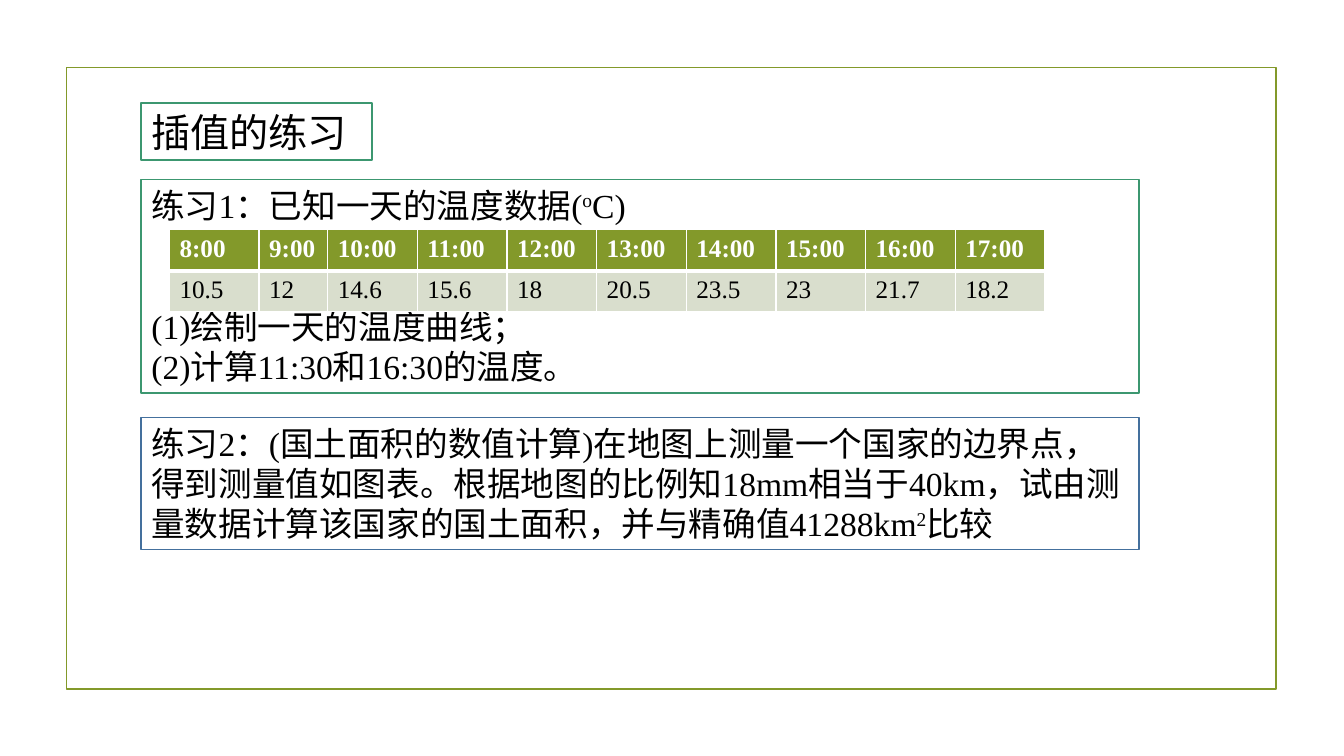
from dataclasses import dataclass
from lxml.etree import SubElement
from pptx import Presentation
from pptx.dml.color import RGBColor
from pptx.enum.lang import MSO_LANGUAGE_ID
from pptx.enum.shapes import MSO_SHAPE
from pptx.enum.text import MSO_ANCHOR, MSO_AUTO_SIZE, PP_ALIGN
from pptx.oxml import parse_xml
from pptx.oxml.ns import nsdecls, qn
from pptx.util import Cm, Pt


@dataclass(frozen=True)
class Theme:
    font: str = "Times New Roman"
    black: str = "000000"
    white: str = "FFFFFF"
    olive: str = "83992A"
    green: str = "3C9770"
    blue: str = "44709D"
    pale: str = "D9DECD"
    title_size: int = 28
    body_size: int = 24
    table_size: int = 18
    outline: float = 1.25


THEME = Theme()
TABLE_GAP = 58  # points left free for the table between two paragraphs
TEMPERATURES = {
    "8:00": "10.5", "9:00": "12", "10:00": "14.6", "11:00": "15.6", "12:00": "18",
    "13:00": "20.5", "14:00": "23.5", "15:00": "23", "16:00": "21.7", "17:00": "18.2",
}
# Each paragraph is (space before, [(text, superscript), ...])
EXERCISE_1 = [
    (0, [("练习1：已知一天的温度数据(", False), ("o", True), ("C)", False)]),
    (TABLE_GAP, [("(1)绘制一天的温度曲线；", False)]),
    (0, [("(2)计算11:30和16:30的温度。", False)]),
]
EXERCISE_2 = [
    (0, [("练习2：(国土面积的数值计算)在地图上测量一个国家的边界点，得到测量值如图表。"
          "根据地图的比例知18mm相当于40km，试由测量数据计算该国家的国土面积，"
          "并与精确值41288km", False), ("2", True), ("比较", False)]),
]


def apply_format(target, values):
    for name, value in values.items():
        setattr(target, name, value)


def add_span(para, text, size, color, bold=False, superscript=False):
    span = para.add_run()
    span.text = text
    apply_format(span.font, {"name": THEME.font, "size": Pt(size), "bold": bold,
                             "language_id": MSO_LANGUAGE_ID.SIMPLIFIED_CHINESE})
    span.font.color.rgb = RGBColor.from_string(color)
    if superscript:
        span.font._element.set("baseline", "30000")


def set_outline(shape, color):
    shape.line.color.rgb = RGBColor.from_string(color)
    shape.line.width = Pt(THEME.outline)


def place(shape, box):
    apply_format(shape, dict(zip(("left", "top", "width", "height"), map(Cm, box))))


# Page frame
def add_frame(page, box):
    frame = page.shapes.add_shape(MSO_SHAPE.RECTANGLE, *map(Cm, box))
    frame.shadow.inherit = False
    frame.fill.background()
    set_outline(frame, THEME.olive)


# Outlined text box made from a title or body placeholder
def fill_text_box(holder, box, paragraphs, size, outline):
    place(holder, box)
    holder.fill.solid()
    holder.fill.fore_color.rgb = RGBColor.from_string(THEME.white)
    set_outline(holder, outline)
    frame = holder.text_frame
    apply_format(frame, {"word_wrap": True, "auto_size": MSO_AUTO_SIZE.NONE,
                         "vertical_anchor": MSO_ANCHOR.TOP})
    for index, (space, spans) in enumerate(paragraphs):
        para = frame.add_paragraph() if index else frame.paragraphs[0]
        properties = para._p.get_or_add_pPr()
        apply_format(para, {"alignment": PP_ALIGN.LEFT, "space_before": Pt(space)})
        properties.set("marL", "0")
        properties.set("indent", "0")
        SubElement(properties, qn("a:buNone"))
        for text, superscript in spans:
            add_span(para, text, size, THEME.black, superscript=superscript)


def set_borders(cell, widths):
    properties = cell._tc.get_or_add_tcPr()
    for index, (side, width) in enumerate(widths.items()):
        properties.insert(index, parse_xml(
            f'<a:ln{side} {nsdecls("a")} w="{Pt(width)}"><a:solidFill>'
            f'<a:srgbClr val="{THEME.white}"/></a:solidFill></a:ln{side}>'))


# Temperature table, set inside the first exercise box
def add_temperature_table(page, box):
    left, top = box[0] + 0.71, box[1] + 1.27
    widths = [1.73 if hour == "9:00" else 2.26 for hour in TEMPERATURES]
    row_height = 1.03
    table = page.shapes.add_table(2, len(widths), Cm(left), Cm(top),
                                  Cm(sum(widths)), Cm(2 * row_height)).table
    for column, width in zip(table.columns, widths):
        column.width = Cm(width)
    styles = [
        (TEMPERATURES.keys(), THEME.olive, THEME.white, True, {"T": 1, "B": 3}),
        (TEMPERATURES.values(), THEME.pale, THEME.black, False, {"T": 3, "B": 1}),
    ]
    for row, (texts, fill, color, bold, edges) in enumerate(styles):
        table.rows[row].height = Cm(row_height)
        for column, text in enumerate(texts):
            cell = table.cell(row, column)
            cell.fill.solid()
            cell.fill.fore_color.rgb = RGBColor.from_string(fill)
            set_borders(cell, {"L": 1, "R": 1, **edges})
            add_span(cell.text_frame.paragraphs[0], text, THEME.table_size, color, bold)


def build_exercise_page(deck, box):
    page = deck.slides.add_slide(deck.slide_layouts[3])
    title, first, second = page.placeholders
    left, top = box[0] + 1.88, box[1]
    first_box = (left, top + 2.82, 25.15, 5.38)
    add_frame(page, box)
    fill_text_box(title, (left, top + 0.89, 5.82, 1.45),
                  [(0, [("插值的练习", False)])], THEME.title_size, THEME.green)
    fill_text_box(first, first_box, EXERCISE_1, THEME.body_size, THEME.green)
    add_temperature_table(page, first_box)
    fill_text_box(second, (left, top + 8.82, 25.15, 3.33),
                  EXERCISE_2, THEME.body_size, THEME.blue)


def main():
    deck = Presentation()
    apply_format(deck, {"slide_width": Cm(33.87), "slide_height": Cm(19.05)})
    build_exercise_page(deck, (1.68, 1.7, 30.48, 15.67))
    deck.save("out.pptx")


if __name__ == "__main__":
    main()
